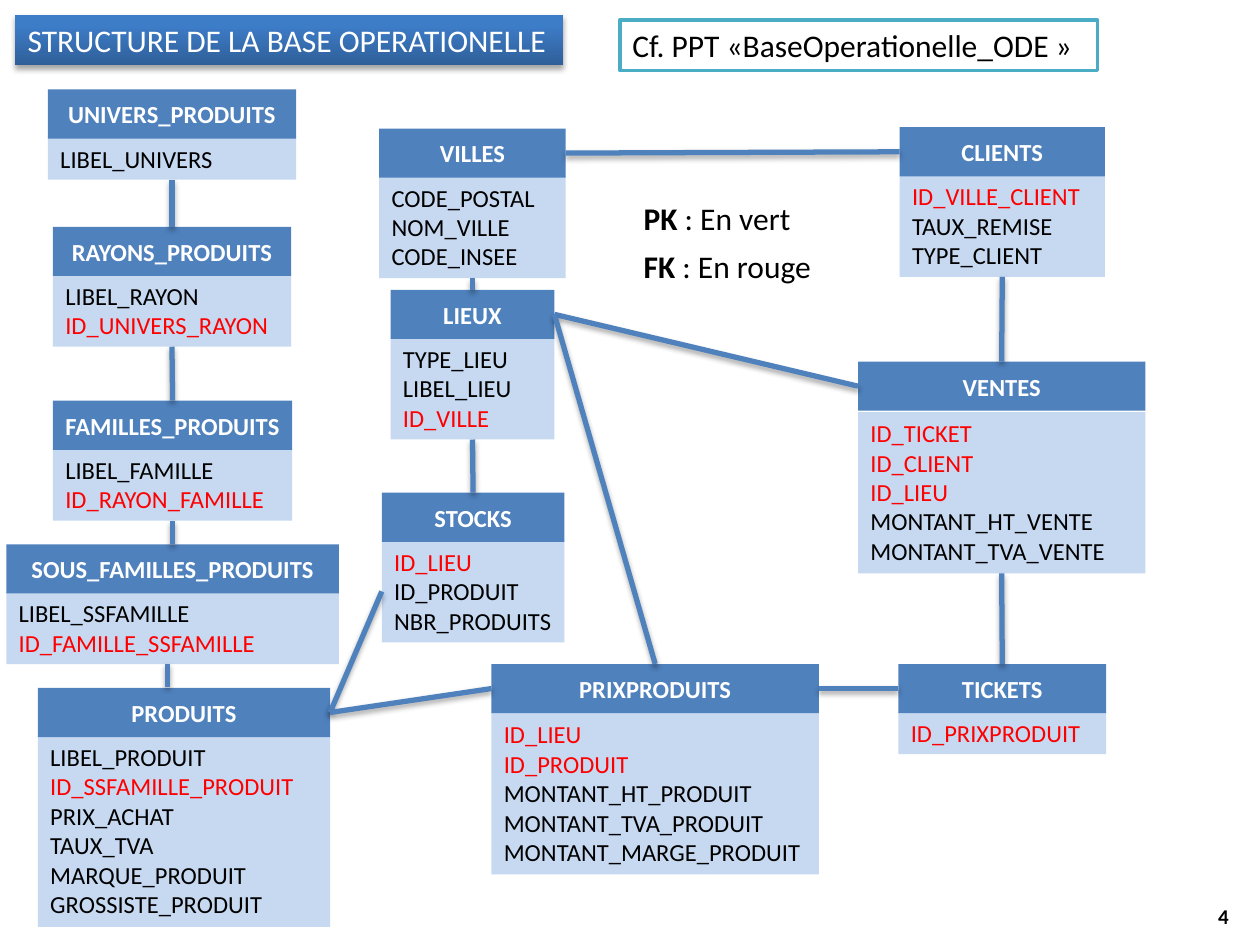
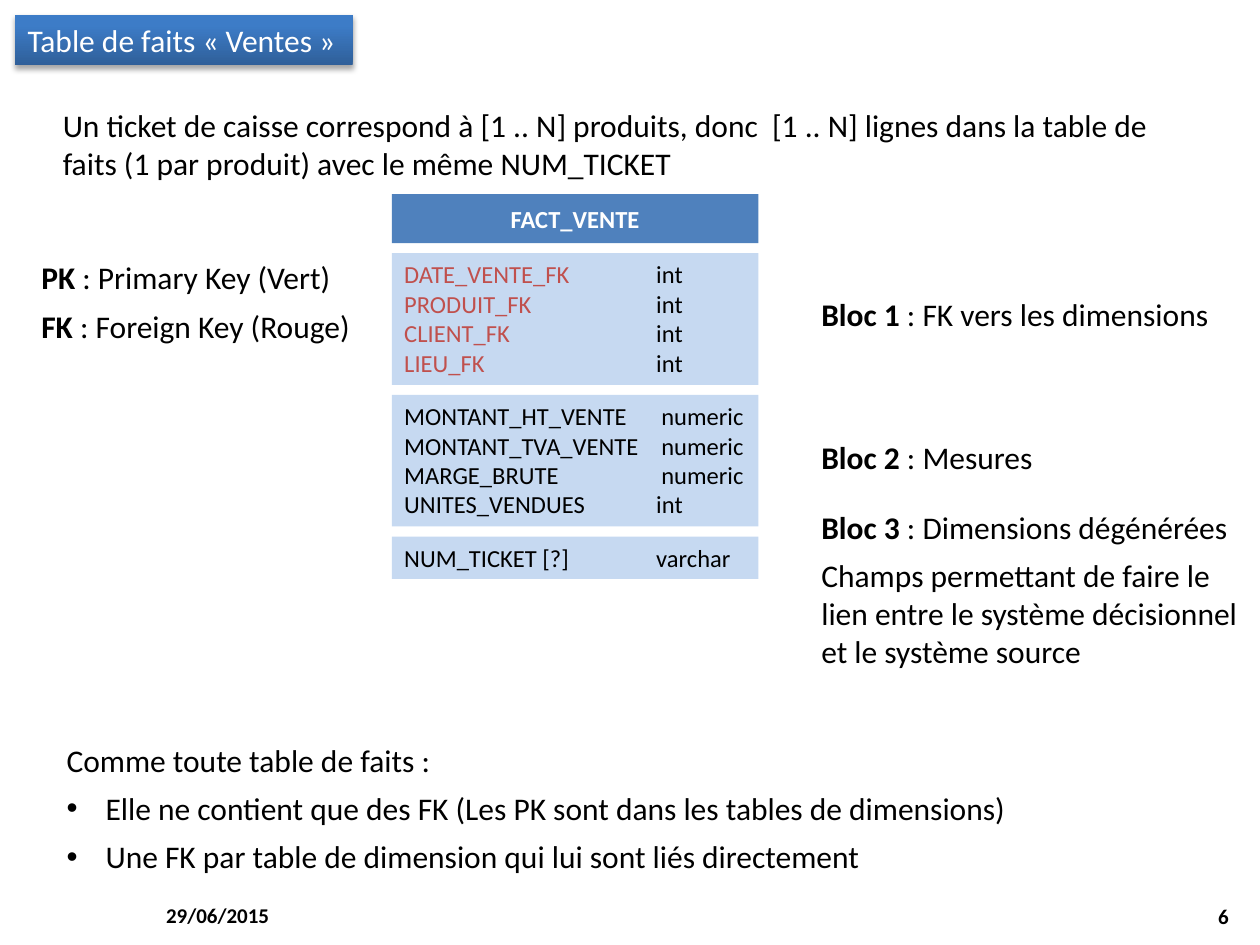
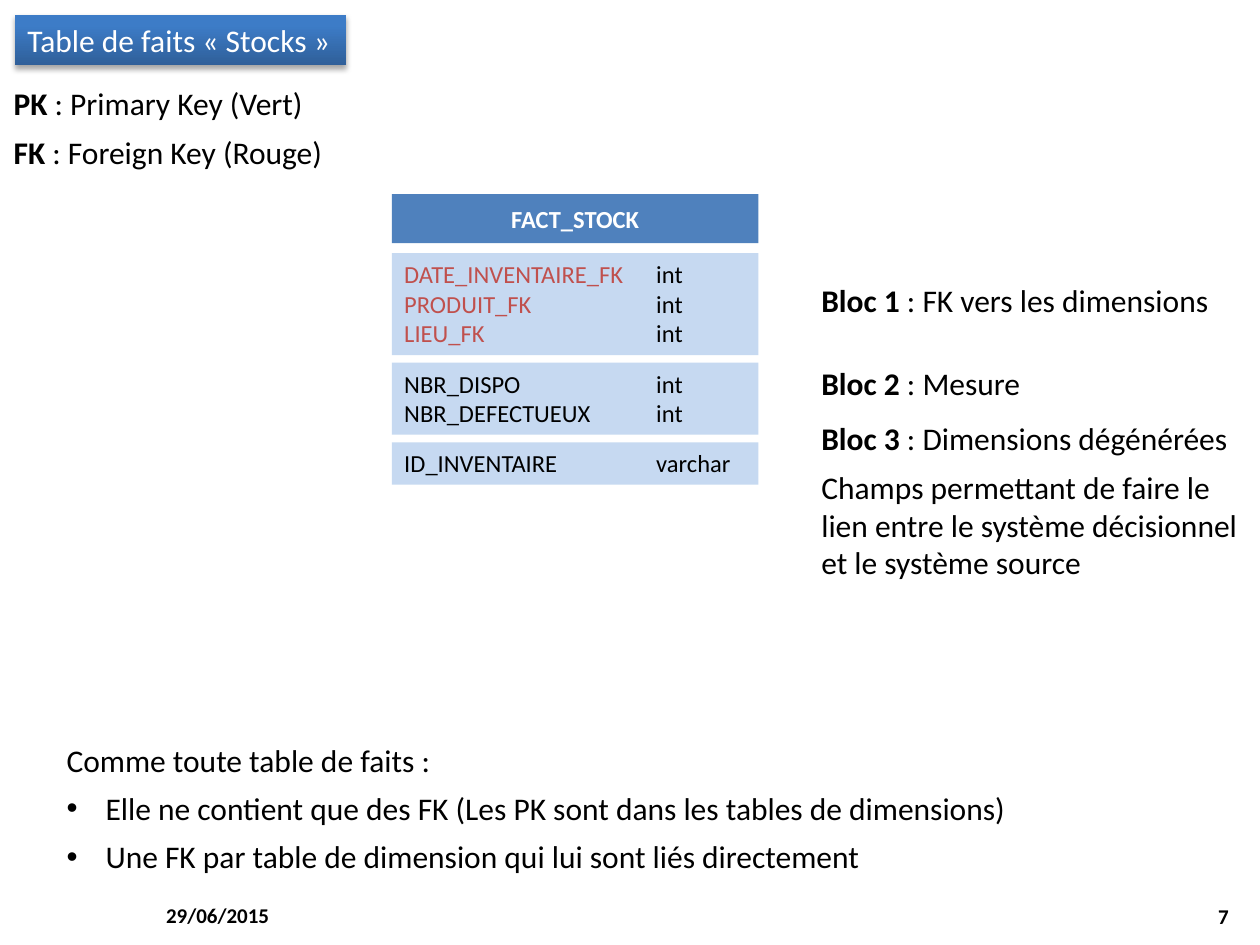
from pptx import Presentation, oxml
from pptx import util as u
from pptx.dml.color import RGBColor
from pptx.enum import shapes, text
from pptx.oxml import ns

BLACK = RGBColor(0x00, 0x00, 0x00)
WHITE = RGBColor(0xFF, 0xFF, 0xFF)
BLUE = RGBColor(0x4F, 0x81, 0xBD)
PALE_BLUE = RGBColor(0xC6, 0xD9, 0xF1)
BANNER_DARK = RGBColor(0x2F, 0x5F, 0x99)
BANNER_LIGHT = RGBColor(0x3D, 0x7C, 0xC7)
TEAL = RGBColor(0x4B, 0xAC, 0xC6)
RED = RGBColor(0xFF, 0x00, 0x00)
BRICK = RGBColor(0xC0, 0x50, 0x4D)

FONT = "Calibri"
LEFT, CENTER, RIGHT = text.PP_ALIGN.LEFT, text.PP_ALIGN.CENTER, text.PP_ALIGN.RIGHT
TOP, MIDDLE = text.MSO_ANCHOR.TOP, text.MSO_ANCHOR.MIDDLE
ROW = 17 / 72      # height of one field line
PADDING = 0.1      # height a table body adds to its lines
HEAD = 0.39        # height of a table header
SHADOW = (f'<a:effectLst {ns.nsdecls("a")}>'
          '<a:outerShdw blurRad="40000" dist="23000" dir="5400000" rotWithShape="0">'
          '<a:srgbClr val="000000"><a:alpha val="35000"/></a:srgbClr>'
          '</a:outerShdw></a:effectLst>')


def add_box(page, left, top, width, height, fill=None):
    """Add a plain rectangle, or a text box when there is no fill."""
    area = [u.Inches(length) for length in (left, top, width, height)]
    if fill is None:
        return page.shapes.add_textbox(*area)
    box = page.shapes.add_shape(shapes.MSO_SHAPE.RECTANGLE, *area)
    box.shadow.inherit = False
    box.fill.solid()
    box.fill.fore_color.rgb = fill
    box.line.fill.background()
    return box


def write(box, lines, size=18, color=BLACK, bold=False, align=LEFT, anchor=TOP,
          wrap=True, right=0.1, space=6, bullets_from=None, tabs=None):
    """Fill a box; a line is a string or a list of (text, color, bold) spans."""
    frame = box.text_frame
    frame.word_wrap = wrap
    frame.vertical_anchor = anchor
    frame.margin_right = u.Inches(right)
    for index, line in enumerate(lines):
        para = frame.paragraphs[0] if index == 0 else frame.add_paragraph()
        properties = para._p.get_or_add_pPr()
        if bullets_from is not None and index >= bullets_from:
            properties.set("marL", str(u.Inches(0.31)))
            properties.set("indent", str(-u.Inches(0.31)))
            for bullet in ('buFont %s typeface="Arial"', 'buChar %s char="•"'):
                properties.append(oxml.parse_xml(f"<a:{bullet % ns.nsdecls('a')}/>"))
        if tabs:
            properties.append(oxml.parse_xml(
                f'<a:tabLst {ns.nsdecls("a")}>'
                f'<a:tab pos="{u.Inches(tabs[index])}" algn="l"/></a:tabLst>'))
        para.alignment = align
        para.space_before = u.Pt(space if index else 0)
        for words, span_color, span_bold in [(line, color, bold)] if isinstance(line, str) else line:
            span = para.add_run()
            span.text = words
            span.font.name = FONT
            span.font.size = u.Pt(size)
            span.font.color.rgb = span_color
            span.font.bold = span_bold


deck = Presentation()
deck.slide_width, deck.slide_height = u.Inches(10), u.Inches(7.5)

# Banner and footer of every slide: title, banner width, date, number
pages = []
for title, width, date, number in [
    ("STRUCTURE DE LA BASE OPERATIONELLE", 4.35, None, "4"),
    ("Table de faits «\u00a0Ventes\u00a0»", 2.68, "29/06/2015", "6"),
    ("Table de faits «\u00a0Stocks\u00a0»", 2.63, "29/06/2015", "7"),
]:
    page = deck.slides.add_slide(deck.slide_layouts[6])
    pages.append(page)
    if date:
        write(add_box(page, 1.22, 7.06, 2.33, 0.4), [date], size=12, bold=True, anchor=MIDDLE)
    write(add_box(page, 7.52, 7.07, 2.33, 0.4), [number], size=12, bold=True,
          align=RIGHT, anchor=MIDDLE)
    banner = add_box(page, 0.12, 0.12, width, 0.4, BLUE)
    banner.fill.gradient()
    banner.fill.gradient_angle = 90
    for stop, color, position in zip(banner.fill.gradient_stops,
                                     (BANNER_DARK, BANNER_LIGHT), (0, 0.8)):
        stop.color.rgb = color
        stop.position = position
    banner._element.spPr.remove(banner._element.spPr.find(ns.qn("a:effectLst")))
    banner._element.spPr.append(oxml.parse_xml(SHADOW))
    write(banner, [title], color=WHITE, right=0)

# Slide 1: schema. Name, left, top, width, body offset, fields (* marks a foreign key)
schema, *fact_pages = pages
tables = {}
for name, left, top, width, offset, fields in [
    ("VILLES", 3.01, 1.02, 1.48, 0.38, "CODE_POSTAL NOM_VILLE CODE_INSEE"),
    ("UNIVERS_PRODUITS", 0.38, 0.71, 1.97, 0.38, "LIBEL_UNIVERS"),
    ("RAYONS_PRODUITS", 0.42, 1.8, 1.89, 0.38, "LIBEL_RAYON *ID_UNIVERS_RAYON"),
    ("FAMILLES_PRODUITS", 0.42, 3.18, 1.9, 0.38, "LIBEL_FAMILLE *ID_RAYON_FAMILLE"),
    ("SOUS_FAMILLES_PRODUITS", 0.05, 4.32, 2.64, 0.38,
     "LIBEL_SSFAMILLE *ID_FAMILLE_SSFAMILLE"),
    ("PRODUITS", 0.3, 5.46, 2.32, 0.38,
     "LIBEL_PRODUIT *ID_SSFAMILLE_PRODUIT PRIX_ACHAT TAUX_TVA MARQUE_PRODUIT GROSSISTE_PRODUIT"),
    ("CLIENTS", 7.14, 1.01, 1.63, 0.38, "*ID_VILLE_CLIENT TAUX_REMISE TYPE_CLIENT"),
    ("LIEUX", 3.1, 2.3, 1.3, 0.38, "TYPE_LIEU LIBEL_LIEU *ID_VILLE"),
    ("STOCKS", 3.03, 3.91, 1.45, 0.38, "*ID_LIEU ID_PRODUIT NBR_PRODUITS"),
    ("VENTES", 6.81, 2.87, 2.28, 0.4,
     "*ID_TICKET *ID_CLIENT *ID_LIEU MONTANT_HT_VENTE MONTANT_TVA_VENTE"),
    ("TICKETS", 7.13, 5.27, 1.65, 0.38, "*ID_PRIXPRODUIT"),
    ("PRIXPRODUITS", 3.9, 5.27, 2.6, 0.39,
     "*ID_LIEU *ID_PRODUIT MONTANT_HT_PRODUIT MONTANT_TVA_PRODUIT MONTANT_MARGE_PRODUIT"),
]:
    lines = [[(field.lstrip("*"), RED if field.startswith("*") else BLACK, False)]
             for field in fields.split()]
    body = add_box(schema, left, top + offset, width, PADDING + ROW * len(lines), PALE_BLUE)
    write(body, lines, size=14, right=0, space=0)
    head = add_box(schema, left, top, width, HEAD, BLUE)
    write(head, [name], size=14, color=WHITE, bold=True, align=CENTER, anchor=MIDDLE, wrap=False)
    tables[name] = {"head": head, "body": body}

ABOVE, LEFT_SIDE, BELOW, RIGHT_SIDE = range(4)
STRAIGHT = shapes.MSO_CONNECTOR.STRAIGHT
links = [schema.shapes.add_connector(
    STRAIGHT, *[u.Inches(length) for length in (1.33, 5.27, 1.33, 5.45)])]
for start, start_part, start_side, end, end_part, end_side in [
    ("UNIVERS_PRODUITS", "body", BELOW, "RAYONS_PRODUITS", "head", ABOVE),
    ("RAYONS_PRODUITS", "body", BELOW, "FAMILLES_PRODUITS", "head", ABOVE),
    ("FAMILLES_PRODUITS", "body", BELOW, "SOUS_FAMILLES_PRODUITS", "head", ABOVE),
    ("PRODUITS", "head", RIGHT_SIDE, "STOCKS", "body", LEFT_SIDE),
    ("PRODUITS", "head", RIGHT_SIDE, "PRIXPRODUITS", "head", LEFT_SIDE),
    ("VILLES", "body", BELOW, "LIEUX", "head", ABOVE),
    ("VILLES", "head", RIGHT_SIDE, "CLIENTS", "head", LEFT_SIDE),
    ("LIEUX", "body", BELOW, "STOCKS", "head", ABOVE),
    ("LIEUX", "head", RIGHT_SIDE, "VENTES", "head", LEFT_SIDE),
    ("LIEUX", "head", RIGHT_SIDE, "PRIXPRODUITS", "head", ABOVE),
    ("CLIENTS", "body", BELOW, "VENTES", "head", ABOVE),
    ("VENTES", "body", BELOW, "TICKETS", "head", ABOVE),
    ("PRIXPRODUITS", "head", RIGHT_SIDE, "TICKETS", "head", LEFT_SIDE),
]:
    link = schema.shapes.add_connector(STRAIGHT, 0, 0, 0, 0)
    link.begin_connect(tables[start][start_part], start_side)
    link.end_connect(tables[end][end_part], end_side)
    links.append(link)
for link in links:
    link.line.color.rgb = BLUE
    link.line.width = u.Pt(3)
    link._element.spPr.append(oxml.parse_xml(SHADOW))

reference = add_box(schema, 4.92, 0.16, 3.79, 0.4, WHITE)
reference.line.color.rgb = TEAL
reference.line.width = u.Pt(2)
write(reference, ["Cf. PPT «BaseOperationelle_ODE\u00a0»\u00a0"], right=0)
write(add_box(schema, 5.01, 1.53, 2.05, 0.79),
      [[("PK", BLACK, True), (" : En vert", BLACK, False)],
       [("FK", BLACK, True), (" : En rouge", BLACK, False)]])

# Slides 2 and 3: fact tables. Name, gap between blocks, key place, note tops, measures, blocks
facts = [
    ("FACT_VENTE", 0.08, (0.23, 2), (2.29, 3.43, 3.98), "Mesures", [
        [("DATE_VENTE_FK", "int"), ("PRODUIT_FK", "int"),
         ("CLIENT_FK", "int"), ("LIEU_FK", "int")],
        [("MONTANT_HT_VENTE", "numeric"), ("MONTANT_TVA_VENTE", "numeric"),
         ("MARGE_BRUTE", "numeric"), ("UNITES_VENDUES", "int")],
        [("NUM_TICKET [?]", "varchar")]]),
    ("FACT_STOCK", 0.06, (0.01, 0.62), (2.18, 2.84, 3.28), "Mesure", [
        [("DATE_INVENTAIRE_FK", "int"), ("PRODUIT_FK", "int"), ("LIEU_FK", "int")],
        [("NBR_DISPO", "int"), ("NBR_DEFECTUEUX", "int")],
        [("ID_INVENTAIRE", "varchar")]]),
]
for page, (name, gap, key_place, note_tops, measures, blocks) in zip(fact_pages, facts):
    head = add_box(page, 3.11, 1.54, 2.91, HEAD, BLUE)
    write(head, [name], size=14, color=WHITE, bold=True, align=CENTER, anchor=MIDDLE, wrap=False)
    top = 2.01
    for block in blocks:
        height = PADDING + ROW * len(block)
        write(add_box(page, 3.11, top, 2.91, height, PALE_BLUE),
              [[(field + "\t", BRICK if field.endswith("_FK") else BLACK, False),
                (kind, BLACK, False)] for field, kind in block],
              size=14, right=0, space=0,
              tabs=[2.04 if kind == "numeric" else 2 for field, kind in block])
        top += height + gap

    notes = ["FK vers les dimensions", measures, "Dimensions dégénérées"]
    for number, (note, note_top) in enumerate(zip(notes, note_tops), 1):
        lines = [[(f"Bloc {number}", BLACK, True), (f" : {note}", BLACK, False)]]
        if number == len(notes):
            lines.append("Champs permettant de faire le lien entre le système décisionnel "
                         "et le système source")
        write(add_box(page, 6.42, note_top, 3.52, 1.4 if len(lines) > 1 else 0.4), lines)

    write(add_box(page, *key_place, 2.7, 0.79),
          [[("PK", BLACK, True), (" : Primary Key (Vert)", BLACK, False)],
           [("FK", BLACK, True), (" : Foreign Key (Rouge)", BLACK, False)]])
    write(add_box(page, 0.43, 5.83, 8.24, 1.18),
          ["Comme toute table de faits :",
           "Elle ne contient que des FK (Les PK sont dans les tables de dimensions)",
           "Une FK par table de dimension qui lui sont liés directement"], bullets_from=1)

write(add_box(fact_pages[0], 0.4, 0.79, 9.24, 0.71),
      ["Un ticket de caisse correspond à [1 .. N] produits, donc  [1 .. N] lignes dans la table "
       "de faits (1 par produit) avec le même NUM_TICKET"])

deck.save("out.pptx")
